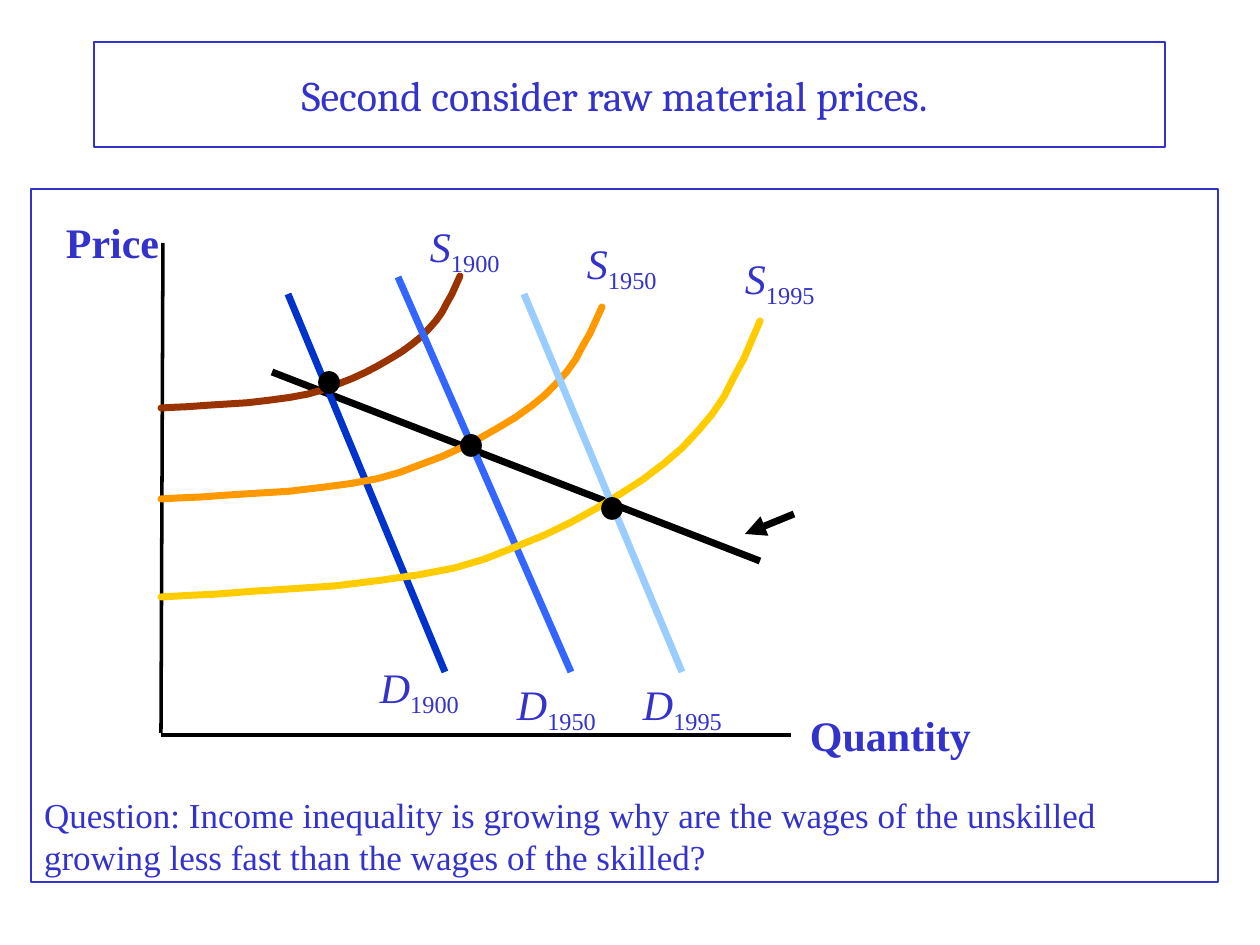
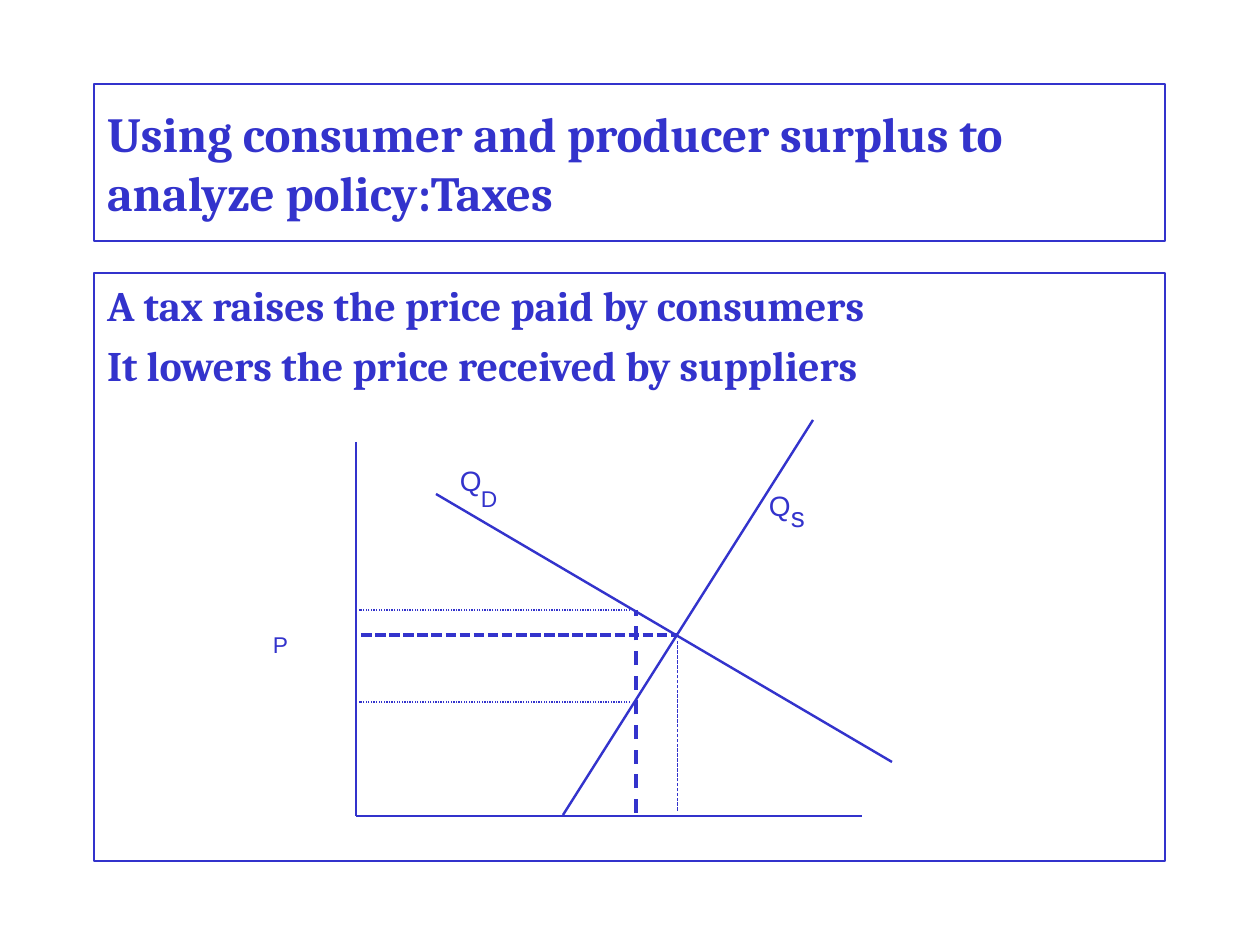
from lxml import etree
from pptx import Presentation
from pptx.dml.color import RGBColor
from pptx.enum.dml import MSO_LINE
from pptx.enum.shapes import MSO_CONNECTOR, MSO_SHAPE
from pptx.enum.text import MSO_ANCHOR, MSO_AUTO_SIZE, PP_ALIGN
from pptx.oxml.ns import qn
from pptx.util import Emu, Pt

STRAIGHT, OVAL = MSO_CONNECTOR.STRAIGHT, MSO_SHAPE.OVAL
TOP, MIDDLE, BOTTOM = MSO_ANCHOR.TOP, MSO_ANCHOR.MIDDLE, MSO_ANCHOR.BOTTOM
LEFT, CENTER = PP_ALIGN.LEFT, PP_ALIGN.CENTER
DASH, LONG_DASH = MSO_LINE.DASH, MSO_LINE.LONG_DASH
SHORT_DASH, DOT = MSO_LINE.SQUARE_DOT, MSO_LINE.ROUND_DOT

SCALE = 914400 / 126  # EMU per px
COLORS = {
    "ink": "3333CC", "black": "000000",
    "supply 1900": "993300", "supply 1950": "FF9900", "supply 1995": "FFCC00",
    "demand 1900": "0033CC", "demand 1950": "3366FF", "demand 1995": "99CCFF",
}
SERIF, HEADING, SANS = "Times New Roman", "Cambria", "Arial"

# Slide 1: raw material prices
PRICES_TITLE = "Second consider raw material prices."
QUESTION = ("Question: Income inequality is growing why are the wages of the "
            "unskilled growing less fast than the wages of the skilled?")
PRICE_AXES = [(163, 243, 161, 733), (161, 735, 791, 735)]
PRICE_TREND = (272, 372, 760, 561)
TREND_ARROW = (794, 514, 745, 534)
AXIS_NAMES = [("Price", 66, 216), ("Quantity", 810, 709)]
# Every supply curve is this shape, in percent of its own box
SUPPLY_SHAPE = [
    (0, 100), (4, 99.5), (9, 99), (15, 98), (22, 97), (29, 96), (36.5, 94),
    (43, 92), (49, 89.5), (54, 86.3), (59, 82), (64, 77.6), (68.4, 73),
    (72.6, 68), (76.8, 62.5), (80.4, 57.5), (84, 51.6), (87, 46),
    (89.7, 39.7), (92, 33.8), (94, 27.4), (95.6, 20.5), (97.3, 13.7), (100, 0),
]
MARKETS = [
    {"year": "1900", "supply": (161, 276, 299, 132), "demand": (288, 294, 445, 672),
     "S": (430, 220), "D": (380, 661), "balance": (319, 372)},
    {"year": "1950", "supply": (161, 307, 441, 192), "demand": (398, 277, 571, 672),
     "S": (587, 237), "D": (517, 678), "balance": (461, 435)},
    {"year": "1995", "supply": (161, 321, 599, 276), "demand": (524, 294, 682, 672),
     "S": (745, 252), "D": (643, 678), "balance": (602, 498)},
]

# Slide 2: taxes
TAX_TITLE = "Using consumer and producer surplus to analyze policy:Taxes"
TAX_POINTS = ["A tax raises the price paid by consumers",
              "It lowers the price received by suppliers"]
TAX_LINES = [  # ends, width, dash
    ((356, 442, 356, 816), 1.39, None),
    ((356, 816, 862, 816), 1.39, None),
    ((563, 815, 813, 420), 1.39, None),
    ((436, 494, 892, 762), 1.39, None),
    ((361, 635, 678, 635), 0, SHORT_DASH),
    ((677, 811, 677, 641), 0.25, LONG_DASH),
    ((636, 813, 636, 610), 0, DASH),
    ((630, 702, 359, 702), 0.75, DOT),
    ((630, 610, 359, 610), 0.75, DOT),
]
TAX_LABELS = [("P", 273, 631, 13), ("Q", 769, 489, 16), ("s", 791, 500, 16),
              ("Q", 460, 464, 16), ("D", 481, 485, 13)]


def px(*lengths):
    return [Emu(round(length * SCALE)) for length in lengths]


def color(name):
    return RGBColor.from_string(COLORS[name])


def style_line(line, name, width, dash=None):
    line.color.rgb = color(name)
    line.width = Pt(width)
    if dash is not None:
        line.dash_style = dash


def add_span(para, text, font=SERIF, size=24, bold=False, italic=False, baseline=0):
    span = para.add_run()
    span.text = text
    span.font.name, span.font.size = font, Pt(size)
    span.font.bold, span.font.italic = bold, italic
    span.font.color.rgb = color("ink")
    if baseline:
        span.font._element.set("baseline", str(baseline))


def fill_holder(holder, place, texts, anchor=TOP, align=LEFT, right=13, bottom=6,
                spacing=1.0, **font):
    """Place a framed placeholder and write its paragraphs without bullets."""
    holder.left, holder.top, holder.width, holder.height = px(*place)
    style_line(holder.line, "ink", 0.75)
    frame = holder.text_frame
    frame.auto_size, frame.word_wrap = MSO_AUTO_SIZE.NONE, True
    frame.vertical_anchor = anchor
    frame.margin_left, frame.margin_right = px(13, right)
    frame.margin_top, frame.margin_bottom = px(6, bottom)
    for index, text in enumerate(texts):
        para = frame.paragraphs[0] if index == 0 else frame.add_paragraph()
        properties = para._p.get_or_add_pPr()
        properties.set("marL", "0")
        properties.set("indent", "0")
        etree.SubElement(properties, qn("a:buNone"))
        para.alignment, para.line_spacing = align, spacing
        para.space_before = Pt(6 if index else 0)
        add_span(para, text, **font)


def add_label(page, left, top, text, subscript="", **font):
    box = page.shapes.add_textbox(*px(left, top, 190, 55))
    frame = box.text_frame
    frame.word_wrap = True
    frame.margin_left = frame.margin_right = frame.margin_top = frame.margin_bottom = 0
    para = frame.paragraphs[0]
    add_span(para, text, **font)
    if subscript:
        add_span(para, subscript, baseline=-25000)


def add_line(page, ends, name, width, dash=None, arrow=False):
    line = page.shapes.add_connector(STRAIGHT, *px(*ends))
    style_line(line.line, name, width, dash)
    etree.SubElement(line._element.spPr, qn("a:effectLst"))
    if arrow:
        etree.SubElement(line.line._get_or_add_ln(), qn("a:tailEnd"), type="triangle")


def add_supply(page, place, name):
    left, top, width, height = place
    points = [px(left + x * width / 100, top + y * height / 100)
              for x, y in SUPPLY_SHAPE]
    builder = page.shapes.build_freeform(*points[0], scale=1.0)
    builder.add_line_segments(points[1:], close=False)
    curve = builder.convert_to_shape()
    curve.shadow.inherit = False
    curve.fill.background()
    style_line(curve.line, name, 4)
    outline = curve.line._get_or_add_ln()
    outline.set("cap", "rnd")
    etree.SubElement(outline, qn("a:round"))


def add_dot(page, left, top):
    dot = page.shapes.add_shape(OVAL, *px(left, top, 20, 21))
    dot.shadow.inherit = False
    dot.fill.solid()
    dot.fill.fore_color.rgb = color("black")
    style_line(dot.line, "black", 1)


def build_prices(page):
    title, body = page.placeholders
    fill_holder(title, (94, 42, 1071, 105), [PRICES_TITLE], anchor=MIDDLE,
                align=CENTER, right=43, font=HEADING)
    fill_holder(body, (31, 189, 1187, 693), [QUESTION], anchor=BOTTOM, bottom=4,
                spacing=Pt(24), size=20)
    # Axes and long-run price line
    for ends in PRICE_AXES:
        add_line(page, ends, "black", 2)
    for name, left, top in AXIS_NAMES:
        add_label(page, left, top, name, bold=True)
    add_line(page, PRICE_TREND, "black", 4)
    add_line(page, TREND_ARROW, "black", 4, arrow=True)
    # Supply, demand and balance of each year
    for market in MARKETS:
        year = market["year"]
        add_supply(page, market["supply"], f"supply {year}")
        add_line(page, market["demand"], f"demand {year}", 4)
        add_dot(page, *market["balance"])
        for letter in "SD":
            add_label(page, *market[letter], letter, year, italic=True)


def build_tax(page):
    title, body = page.placeholders
    fill_holder(title, (94, 84, 1071, 157), [TAX_TITLE], anchor=MIDDLE,
                font=HEADING, size=28, bold=True)
    fill_holder(body, (94, 273, 1071, 588), TAX_POINTS, font=HEADING, bold=True)
    for ends, width, dash in TAX_LINES:
        add_line(page, ends, "ink", width, dash)
    for text, left, top, size in TAX_LABELS:
        add_label(page, left, top, text, font=SANS, size=size)


def main():
    deck = Presentation()
    deck.slide_width, deck.slide_height = px(1260, 945)
    for build in (build_prices, build_tax):
        build(deck.slides.add_slide(deck.slide_layouts[1]))
    deck.save("out.pptx")


if __name__ == "__main__":
    main()
